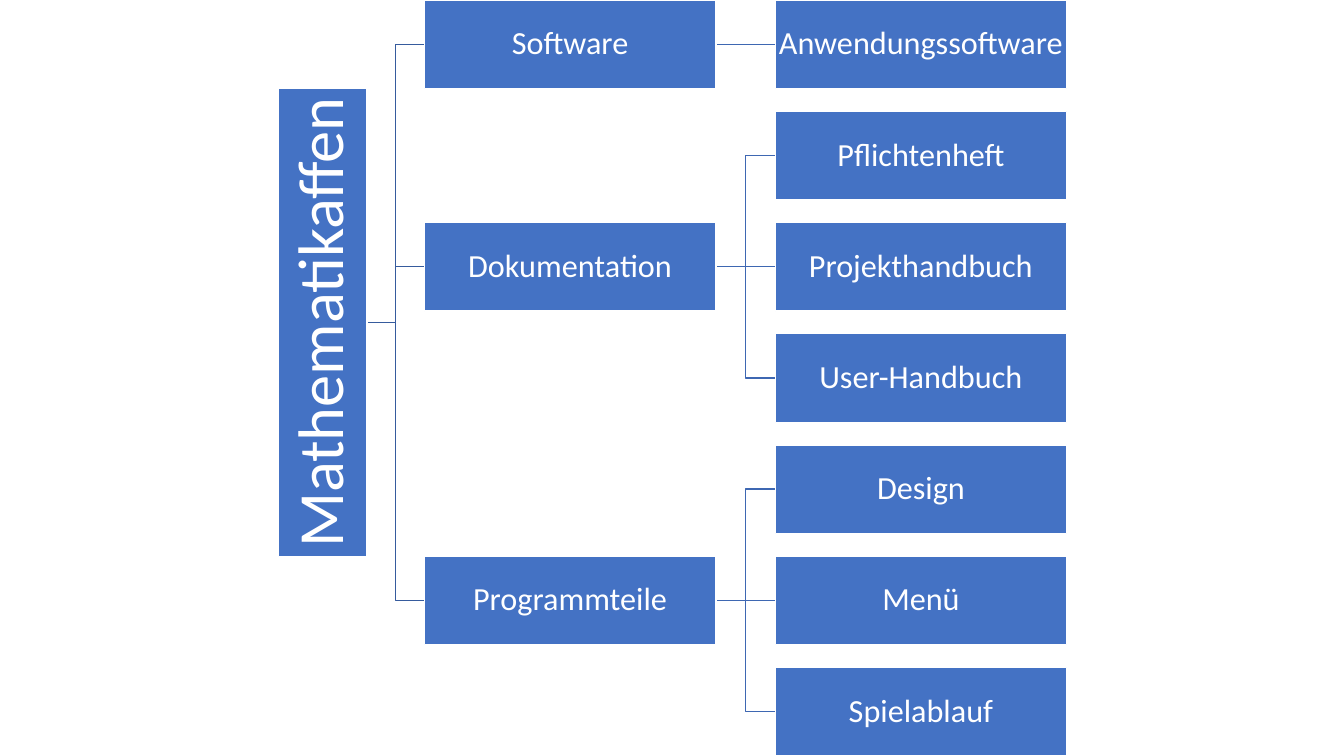
from pptx import Presentation
from pptx.dml.color import RGBColor
from pptx.enum.shapes import MSO_CONNECTOR as Connector, MSO_SHAPE as Shape
from pptx.enum.text import MSO_ANCHOR as Anchor, PP_ALIGN as Align
from pptx.oxml.ns import qn
from pptx.util import Inches, Pt
from lxml.etree import SubElement

COLORS = {"box": "4472C4", "white": "FFFFFF", "trunk": "365B9D", "branch": "3E67B2"}
BOX_WIDTH, BOX_HEIGHT = 2.89, 0.88
ROW_PITCH = (7.5 - BOX_HEIGHT) / 6
BRANCH_LEFT, LEAF_LEFT = 4.21, 7.69
ROOT_TEXT, ROOT_LENGTH = "Mathematikaffen", 4.64
ROOT_CENTER_X, ROOT_CENTER_Y = 3.2, 3.2
BRANCHES = {
    "Software": ["Anwendungssoftware"],
    "Dokumentation": ["Pflichtenheft", "Projekthandbuch", "User-Handbuch"],
    "Programmteile": ["Design", "Menü", "Spielablauf"],
}


def color(name):
    """Return the named colour."""
    return RGBColor.from_string(COLORS[name])


def add_box(slide, text, left, top, width=BOX_WIDTH, size=23, inset=0.02):
    """Add a filled rectangle with centred text."""
    box = slide.shapes.add_shape(
        Shape.RECTANGLE, Inches(left), Inches(top), Inches(width), Inches(BOX_HEIGHT)
    )
    box.shadow.inherit = False
    box.fill.solid()
    box.fill.fore_color.rgb = color("box")
    box.line.color.rgb = color("white")
    box.line.width = Pt(1)
    frame = box.text_frame
    frame.word_wrap = True
    frame.vertical_anchor = Anchor.MIDDLE
    for side in ("left", "top", "right", "bottom"):
        setattr(frame, f"margin_{side}", Inches(inset))
    paragraph = frame.paragraphs[0]
    paragraph.alignment = Align.CENTER
    paragraph.line_spacing = 0.9
    run = paragraph.add_run()
    run.text = text
    for name, value in {"name": "Calibri", "size": Pt(size)}.items():
        setattr(run.font, name, value)
    run.font.color.rgb = color("white")
    return box


def add_link(slide, start, box, line_color, parent=None):
    """Link a start point to the left side of a box, behind all boxes."""
    end = (box.left, box.top + box.height // 2)
    kind = Connector.STRAIGHT if start[1] == end[1] else Connector.ELBOW
    link = slide.shapes.add_connector(kind, *start, *end)
    if parent is not None:
        link.begin_connect(parent, 3)
    link.end_connect(box, 1)
    link.line.color.rgb = color(line_color)
    link.line.width = Pt(1)
    element = link._element
    SubElement(element.spPr, qn("a:effectLst"))
    slide.shapes._spTree.insert(2, element)


def add_root(slide):
    """Add the upright root box and return the middle of its right side."""
    root = add_box(
        slide, ROOT_TEXT, ROOT_CENTER_X - ROOT_LENGTH / 2,
        ROOT_CENTER_Y - BOX_HEIGHT / 2, ROOT_LENGTH, 46, 0.03,
    )
    root.rotation = 270
    return Inches(ROOT_CENTER_X + BOX_HEIGHT / 2), Inches(ROOT_CENTER_Y)


def add_branch(slide, root_point, text, leaves, first_row):
    """Add a branch centred on its leaves, with all its links."""
    middle_row = first_row + (len(leaves) - 1) / 2
    branch = add_box(slide, text, BRANCH_LEFT, middle_row * ROW_PITCH)
    add_link(slide, root_point, branch, "trunk")
    start = (branch.left + branch.width, branch.top + branch.height // 2)
    for row, leaf_text in enumerate(leaves, first_row):
        leaf = add_box(slide, leaf_text, LEAF_LEFT, row * ROW_PITCH)
        add_link(slide, start, leaf, "branch", branch)


def main():
    """Build the slide and save it."""
    presentation = Presentation()
    presentation.slide_width = Inches(13.33)
    presentation.slide_height = Inches(7.5)
    slide = presentation.slides.add_slide(presentation.slide_layouts[6])
    root_point = add_root(slide)
    row = 0
    for text, leaves in BRANCHES.items():
        add_branch(slide, root_point, text, leaves, row)
        row += len(leaves)
    presentation.save("out.pptx")


if __name__ == "__main__":
    main()
